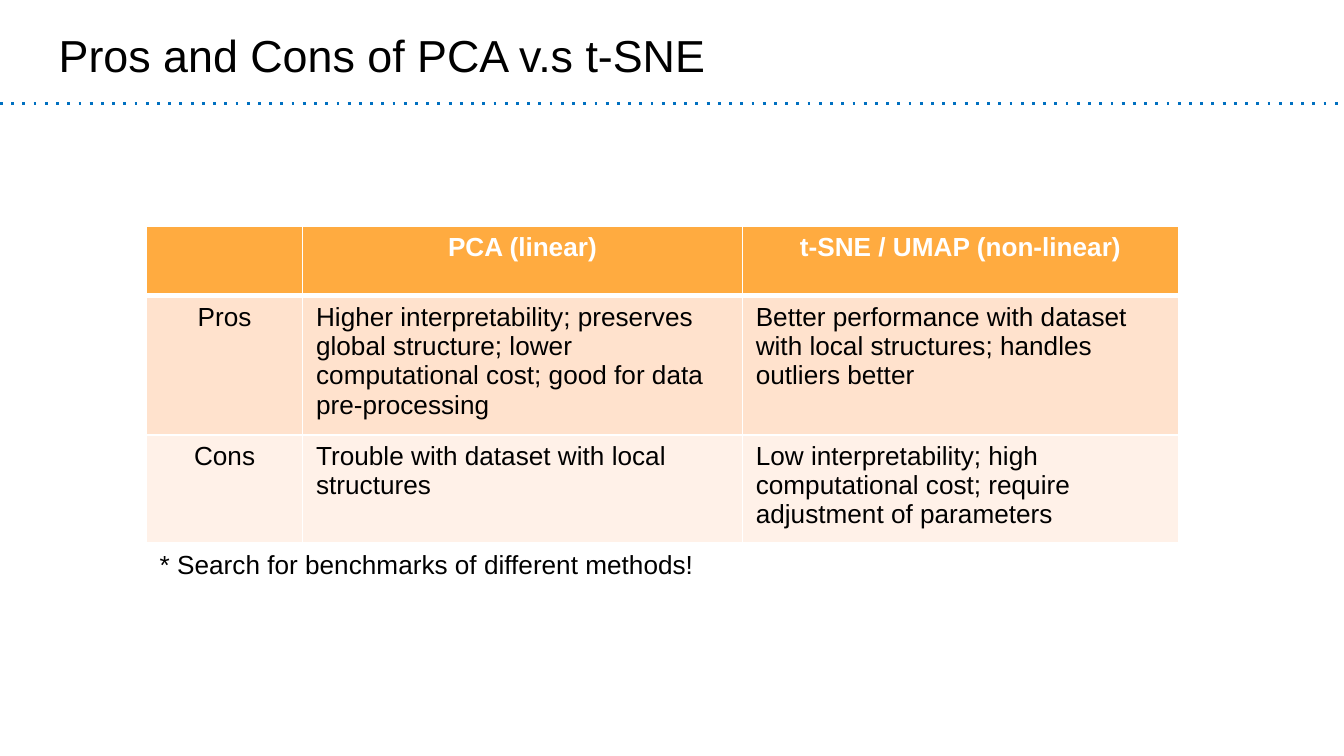
import pptx
import pptx.dml.color
import pptx.enum.shapes
import pptx.enum.text
import pptx.oxml
import pptx.oxml.ns
import pptx.util
from lxml import etree

Cm = pptx.util.Cm
Pt = pptx.util.Pt
RGB = pptx.dml.color.RGBColor
Align = pptx.enum.text.PP_ALIGN
Anchor = pptx.enum.text.MSO_ANCHOR
qn = pptx.oxml.ns.qn

BLACK = RGB(0x00, 0x00, 0x00)
WHITE = RGB(0xFF, 0xFF, 0xFF)
BLUE = RGB(0x00, 0x70, 0xC0)
ORANGE = RGB(0xFF, 0xAB, 0x40)
PEACH = RGB(0xFF, 0xE2, 0xCD)
CREAM = RGB(0xFF, 0xF1, 0xE8)

WIDTH = 25.4
LEFT = 2.77
COLS = [2.95, 8.31, 8.25]
ROWS = [1.32, 2.62, 1.9]
FILLS = [ORANGE, PEACH, CREAM]
CELLS = [
    ["", "PCA (linear)", "t-SNE / UMAP (non-linear)"],
    ["Pros",
     "Higher interpretability; preserves global structure; lower "
     "computational cost; good for data pre-processing",
     "Better performance with dataset with local structures; handles outliers better"],
    ["Cons",
     "Trouble with dataset with local structures",
     "Low interpretability; high computational cost; require adjustment of parameters"],
]


class Deck:
    """Holds the text style and the current slide."""

    def __init__(self, font="Arial", size=14):
        self.font, self.size = font, size
        self.show = pptx.Presentation()
        self.show.slide_width, self.show.slide_height = Cm(WIDTH), Cm(14.29)
        self.slide = self.show.slides.add_slide(self.show.slide_layouts[6])

    def text(self, frame, words, size=None, color=BLACK, bold=False, align=Align.LEFT):
        para = frame.paragraphs[0]
        para.alignment = align
        run = para.add_run()
        run.text = words
        run.font.name = self.font
        run.font.size = Pt(size or self.size)
        run.font.bold = bold
        run.font.color.rgb = color

    def label(self, words, box, size=None, inset=0.13, anchor=Anchor.TOP):
        frame = self.slide.shapes.add_textbox(*map(Cm, box)).text_frame
        frame.word_wrap = True
        frame.vertical_anchor = anchor
        frame.margin_left = frame.margin_right = Cm(0.25)
        frame.margin_top = frame.margin_bottom = Cm(inset)
        self.text(frame, words, size)

    def rule(self, top):
        line = self.slide.shapes.add_connector(
            pptx.enum.shapes.MSO_CONNECTOR.STRAIGHT, 0, Cm(top), Cm(WIDTH), Cm(top))
        line.line.color.rgb = BLUE
        line.line.width = Pt(1.5)
        etree.SubElement(line.line._get_or_add_ln(), qn("a:prstDash"), val="dot")
        etree.SubElement(line._element.spPr, qn("a:effectLst"))

    def edge(self, side, width):
        edge = etree.Element(qn("a:ln" + side), w=str(Pt(width)))
        fill = etree.SubElement(edge, qn("a:solidFill"))
        etree.SubElement(fill, qn("a:srgbClr"), val=str(WHITE))
        return edge

    def grid(self, top):
        table = self.slide.shapes.add_table(
            len(ROWS), len(COLS), Cm(LEFT), Cm(top), Cm(sum(COLS)), Cm(sum(ROWS))).table
        for col, width in zip(table.columns, COLS):
            col.width = Cm(width)
        for row, high in zip(table.rows, ROWS):
            row.height = Cm(high)
        for r, line in enumerate(CELLS):
            for c, words in enumerate(line):
                self.cell(table.cell(r, c), words, r, c)

    def cell(self, cell, words, r, c):
        head = r == 0
        cell.fill.solid()
        cell.fill.fore_color.rgb = FILLS[r]
        if words:
            self.text(cell.text_frame, words, color=WHITE if head else BLACK, bold=head,
                      align=Align.CENTER if head or c == 0 else Align.LEFT)
        widths = {"L": 1, "R": 1, "T": 3 if r == 1 else 1, "B": 3 if head else 1}
        props = cell._tc.get_or_add_tcPr()
        for i, (side, width) in enumerate(widths.items()):
            props.insert(i, self.edge(side, width))


def main():
    deck = Deck()
    deck.rule(1.96)
    deck.label("Pros and Cons of PCA v.s t-SNE", (0.86, 0.23, 23.67, 1.6),
               size=24, inset=0.25, anchor=Anchor.MIDDLE)
    deck.grid(4.27)
    deck.label("* Search for benchmarks of different methods!", (LEFT, 10.24, 10.64, 0.86))
    deck.show.save("out.pptx")


if __name__ == "__main__":
    main()
